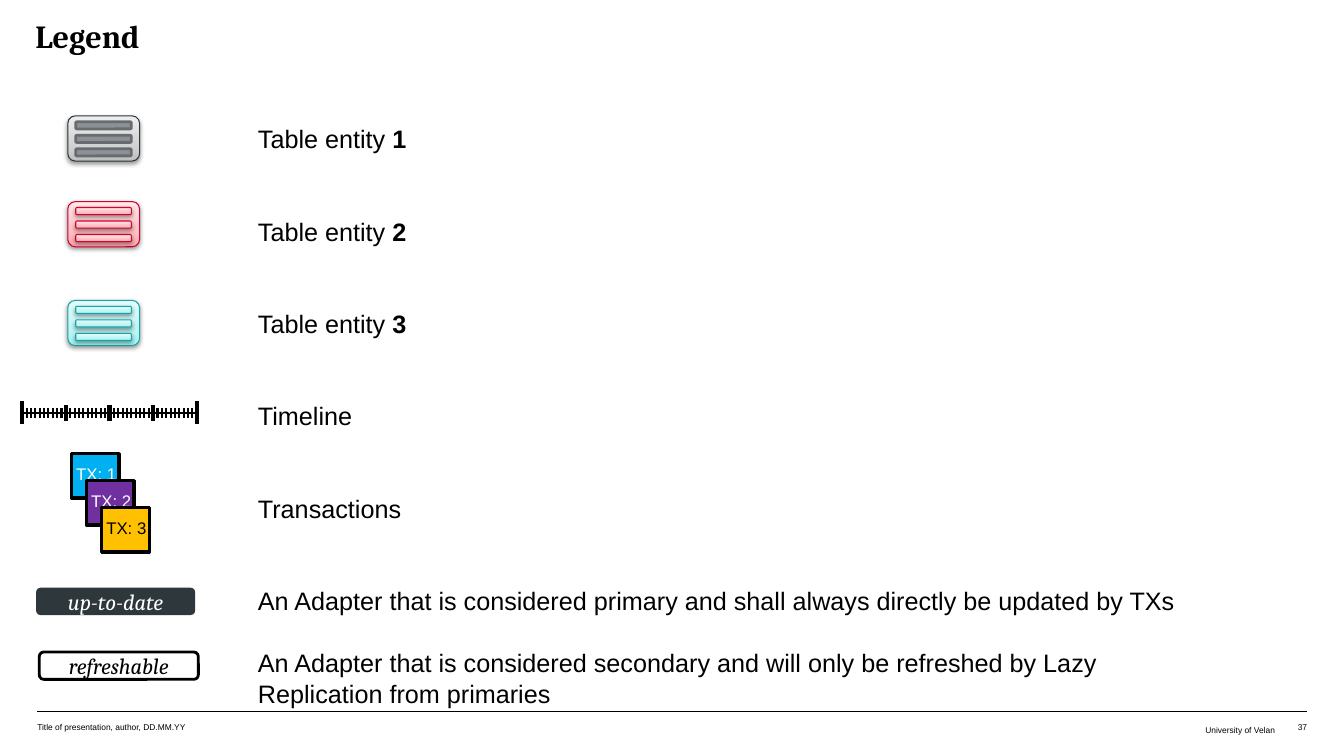
import pptx
import pptx.util
import pptx.dml.color
import pptx.enum.shapes
import pptx.enum.text
import pptx.oxml
import pptx.oxml.ns

Cm, Pt = pptx.util.Cm, pptx.util.Pt
RGBColor = pptx.dml.color.RGBColor
SHAPE = pptx.enum.shapes.MSO_SHAPE
ALIGN = pptx.enum.text.PP_ALIGN
ANCHOR = pptx.enum.text.MSO_ANCHOR

BLACK = RGBColor(0x00, 0x00, 0x00)
WHITE = RGBColor(0xFF, 0xFF, 0xFF)
SLATE = RGBColor(0x2D, 0x37, 0x3C)
GRAY_EDGE = RGBColor(0x2C, 0x36, 0x3B)
GRAY_BAR = RGBColor(0x8C, 0x91, 0x96)
GRAY_BAR_EDGE = RGBColor(0x68, 0x6B, 0x6F)
RED_EDGE = RGBColor(0xD2, 0x00, 0x33)
TEAL_EDGE = RGBColor(0x1A, 0xA5, 0xA5)
BLUE = RGBColor(0x00, 0xB0, 0xF0)
PURPLE = RGBColor(0x70, 0x30, 0xA0)
AMBER = RGBColor(0xFF, 0xC0, 0x00)
GRAY_STOPS = [RGBColor(0xBD, 0xBF, 0xC1), RGBColor(0xD1, 0xD2, 0xD3), RGBColor(0xEE, 0xEE, 0xEF)]
RED_STOPS = [RGBColor(0xFF, 0xA8, 0xAC), RGBColor(0xFF, 0xC1, 0xC4), RGBColor(0xFF, 0xE8, 0xE9)]
TEAL_STOPS = [RGBColor(0xA2, 0xF3, 0xF3), RGBColor(0xBF, 0xF5, 0xF5), RGBColor(0xE6, 0xFC, 0xFC)]

TITLE = "Legend"
# plain text, bold text, space before in points
ENTRIES = [
    ("Table entity ", "1", 0),
    ("Table entity ", "2", 44),
    ("Table entity ", "3", 44),
    ("Timeline", "", 44),
    ("Transactions", "", 44),
    ("An Adapter that is considered primary and shall always directly be updated by TXs", "", 44),
    ("An Adapter that is considered secondary and will only be refreshed by Lazy "
     "Replication from primaries", "", 22),
]
# top, gradient stops, edge, flat bar colours if any
TABLE_ICONS = [
    (2.92, GRAY_STOPS, GRAY_EDGE, (GRAY_BAR, GRAY_BAR_EDGE)),
    (5.08, RED_STOPS, RED_EDGE, None),
    (7.57, TEAL_STOPS, TEAL_EDGE, None),
]
TRANSACTIONS = [("TX: 1", BLUE, WHITE), ("TX: 2", PURPLE, WHITE), ("TX: 3", AMBER, BLACK)]
# text, left, top, fill, edge, text colour
STATES = [
    ("up-to-date", 0.91, 14.81, SLATE, None, WHITE),
    ("refreshable", 0.99, 16.43, WHITE, BLACK, BLACK),
]
# text, left, width, alignment, right inset, top inset
FOOTERS = [
    ("Title of presentation, author, DD.MM.YY", 0.94, 8, ALIGN.LEFT, 0, 0.05),
    ("University of Velan", 25.32, 7.06, ALIGN.RIGHT, 0.25, 0.13),
    ("37", 32.41, 0.53, ALIGN.RIGHT, 0, 0.05),
]

A_NS = pptx.oxml.ns.nsdecls("a")


def style_text(p, size, color, font="Arial", bold=None, italic=None):
    for r in p.runs:
        r.font.name, r.font.size, r.font.color.rgb = font, Pt(size), color
        r.font.bold, r.font.italic = bold, italic


def set_insets(tf, left=0, top=0, right=0, bottom=0):
    tf.margin_left, tf.margin_top = Cm(left), Cm(top)
    tf.margin_right, tf.margin_bottom = Cm(right), Cm(bottom)


def place(sp, left, top, width, height):
    sp.left, sp.top, sp.width, sp.height = Cm(left), Cm(top), Cm(width), Cm(height)


def add_box(shapes, kind, left, top, width, height, fill, edge, weight):
    sp = shapes.add_shape(kind, Cm(left), Cm(top), Cm(width), Cm(height))
    sp.shadow.inherit = False
    sp.fill.solid()
    sp.fill.fore_color.rgb = fill
    if edge is None:
        sp.line.fill.background()
    else:
        sp.line.color.rgb, sp.line.width = edge, Pt(weight)
    return sp


def add_glossy_box(shapes, left, top, width, height, stops, edge):
    """Add a rounded box with a three-stop gradient and a soft shadow below."""
    sp = add_box(shapes, SHAPE.ROUNDED_RECTANGLE, left, top, width, height, stops[0], edge, 0.75)
    gs = "".join(f'<a:gs pos="{pos}"><a:srgbClr val="{color}"/></a:gs>'
                 for pos, color in zip((0, 35000, 100000), stops))
    grad = pptx.oxml.parse_xml(f'<a:gradFill {A_NS} rotWithShape="1"><a:gsLst>{gs}</a:gsLst>'
                               '<a:lin ang="16200000" scaled="0"/></a:gradFill>')
    shadow = pptx.oxml.parse_xml(
        f'<a:outerShdw {A_NS} blurRad="40000" dist="20000" dir="5400000" rotWithShape="0">'
        '<a:srgbClr val="000000"><a:alpha val="38000"/></a:srgbClr></a:outerShdw>')
    sp_pr = sp.element.spPr
    sp_pr.replace(sp_pr.find(pptx.oxml.ns.qn("a:solidFill")), grad)
    sp_pr.find(pptx.oxml.ns.qn("a:effectLst")).append(shadow)


def add_line(shapes, x1, y1, x2, y2, weight):
    line = shapes.add_connector(pptx.enum.shapes.MSO_CONNECTOR.STRAIGHT,
                                Cm(x1), Cm(y1), Cm(x2), Cm(y2))
    line.line.color.rgb, line.line.width = BLACK, Pt(weight)
    line.element.spPr.append(pptx.oxml.parse_xml(f"<a:effectLst {A_NS}/>"))


prs = pptx.Presentation()
prs.slide_width, prs.slide_height = Cm(33.87), Cm(19.05)
s = prs.slides.add_slide(prs.slide_layouts[1])

# Title and list
title, body = s.shapes.title, s.placeholders[1]
place(title, 0.89, 0.51, 32, 2.11)
place(body, 6.5, 3.1, 23.6, 13.79)
for sp in (title, body):
    tf = sp.text_frame
    set_insets(tf)
    tf.word_wrap, tf.vertical_anchor = True, ANCHOR.TOP
    tf.auto_size = pptx.enum.text.MSO_AUTO_SIZE.NONE
title.text_frame.text = TITLE
p = title.text_frame.paragraphs[0]
p.alignment, p.line_spacing = ALIGN.LEFT, Pt(25)
style_text(p, 23, BLACK, "Cambria", bold=True)

tf = body.text_frame
for i, (plain, strong, gap) in enumerate(ENTRIES):
    p = tf.add_paragraph() if i else tf.paragraphs[0]
    p.text = plain
    if strong:
        p.add_run().text = strong
    p.alignment, p.line_spacing, p.space_before = ALIGN.LEFT, Pt(22), Pt(gap)
    style_text(p, 18, BLACK)
    if strong:
        p.runs[1].font.bold = True
    p_pr = p._p.get_or_add_pPr()
    p_pr.set("marL", "0")
    p_pr.set("indent", "0")
    p_pr.append(pptx.oxml.parse_xml(f"<a:buNone {A_NS}/>"))

# Table icons
for top, stops, edge, flat in TABLE_ICONS:
    icon = s.shapes.add_group_shape().shapes
    add_glossy_box(icon, 1.71, top, 1.81, 1.14, stops, edge)
    for row in range(3):
        bar = (1.91, top + 0.15 + row * 0.34, 1.4, 0.18)
        if flat:
            add_box(icon, SHAPE.ROUNDED_RECTANGLE, *bar, *flat, 2)
        else:
            add_glossy_box(icon, *bar, stops, edge)

# Timeline: 40 steps, a heavy tick every ten, taller ones at the ends
timeline = s.shapes.add_group_shape().shapes
add_line(timeline, 0.5, 10.41, 5, 10.41, 1)
for i in range(41):
    x = 0.56 + i * 0.11
    if i in (0, 40):
        y1, y2, weight = 10.11, 10.69, 3
    elif i % 10 == 0:
        y1, y2, weight = 10.21, 10.6, 3
    else:
        y1, y2, weight = 10.29, 10.54, 1.5
    add_line(timeline, x, y1, x, y2, weight)

# Transactions
stack = s.shapes.add_group_shape().shapes
for i, (text, fill, color) in enumerate(TRANSACTIONS):
    sp = add_box(stack, SHAPE.RECTANGLE, 1.8 + i * 0.38, 11.43 + i * 0.68, 1.2, 1.12,
                 fill, BLACK, 2.25)
    tf = sp.text_frame
    set_insets(tf, left=0.12)
    tf.text, tf.vertical_anchor = text, ANCHOR.TOP
    p = tf.paragraphs[0]
    p.alignment, p.line_spacing = ALIGN.LEFT, Pt(22)
    style_text(p, 12, color)

# Adapter states
for text, left, top, fill, edge, color in STATES:
    sp = add_box(s.shapes, SHAPE.ROUNDED_RECTANGLE, left, top, 4.01, 0.69, fill, edge, 2)
    tf = sp.text_frame
    tf.text, tf.vertical_anchor = text, ANCHOR.MIDDLE
    tf.paragraphs[0].alignment = ALIGN.CENTER
    style_text(tf.paragraphs[0], 16, color, "Cambria", italic=True)

# Footer
add_line(s.shapes, 0.94, 17.93, 32.94, 17.93, 0.25)
for text, left, width, align, right, top in FOOTERS:
    tf = s.shapes.add_textbox(Cm(left), Cm(18.14), Cm(width), Cm(0.51)).text_frame
    set_insets(tf, top=top, right=right)
    tf.word_wrap, tf.text = True, text
    tf.paragraphs[0].alignment = align
    style_text(tf.paragraphs[0], 6, BLACK)

prs.save("out.pptx")
